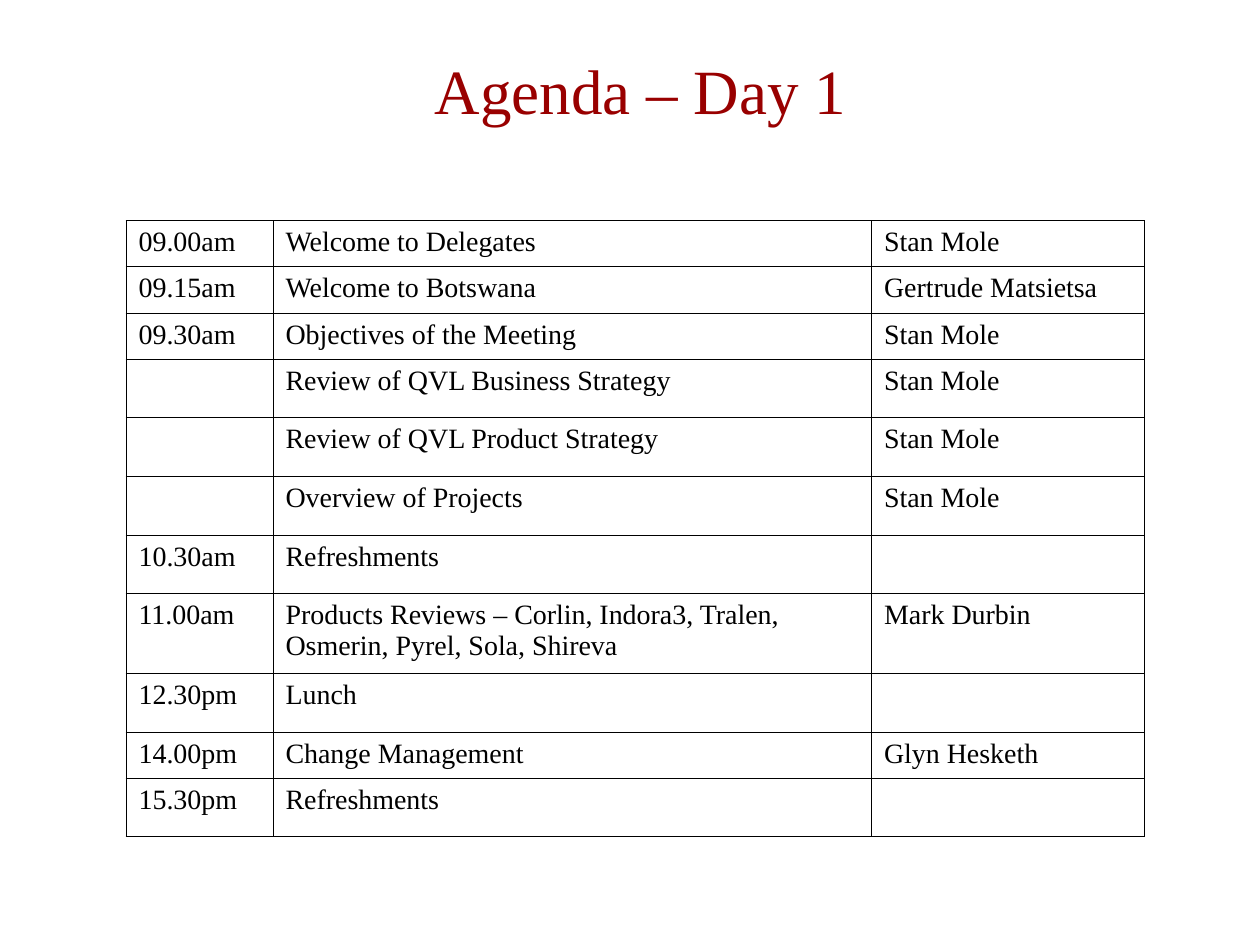
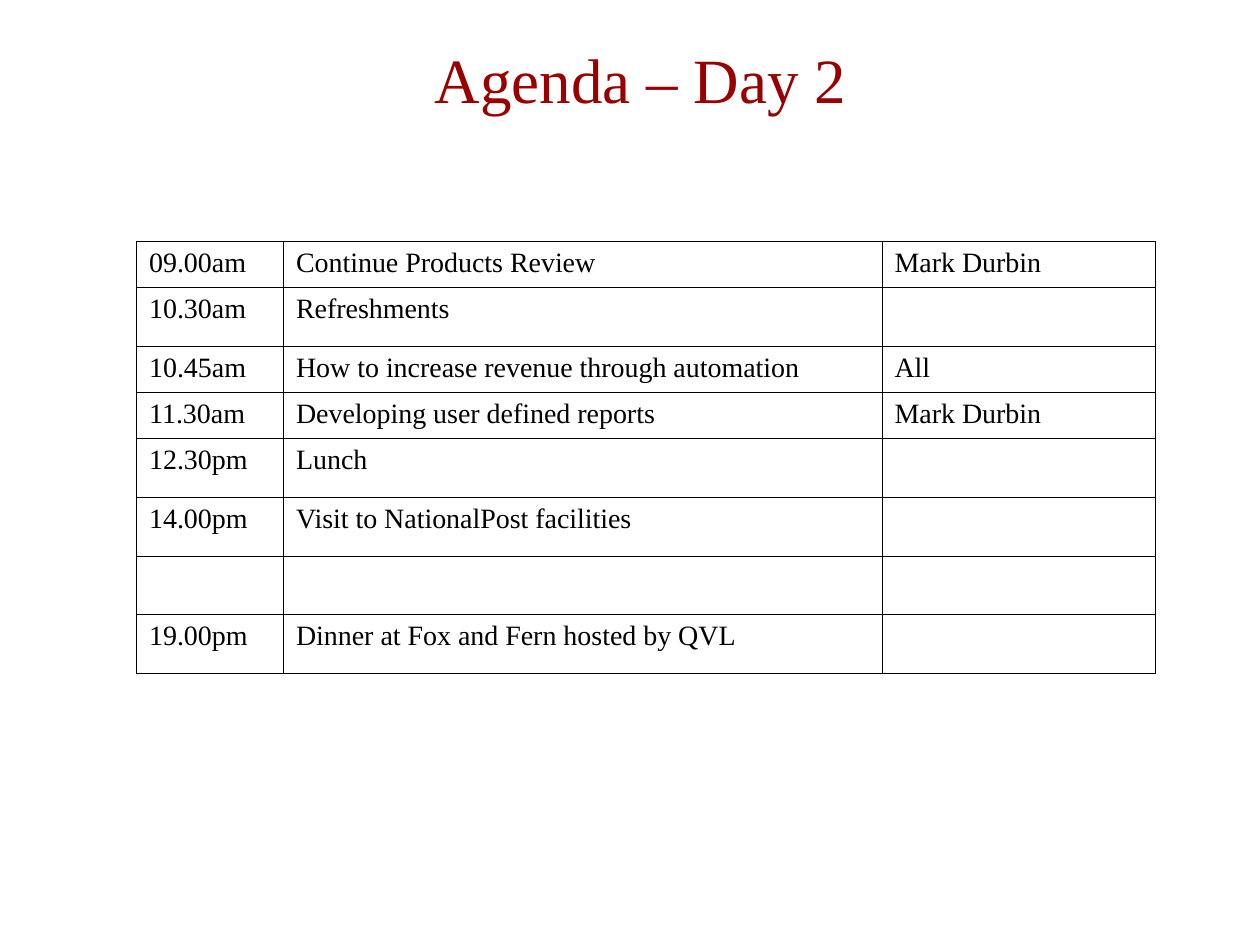
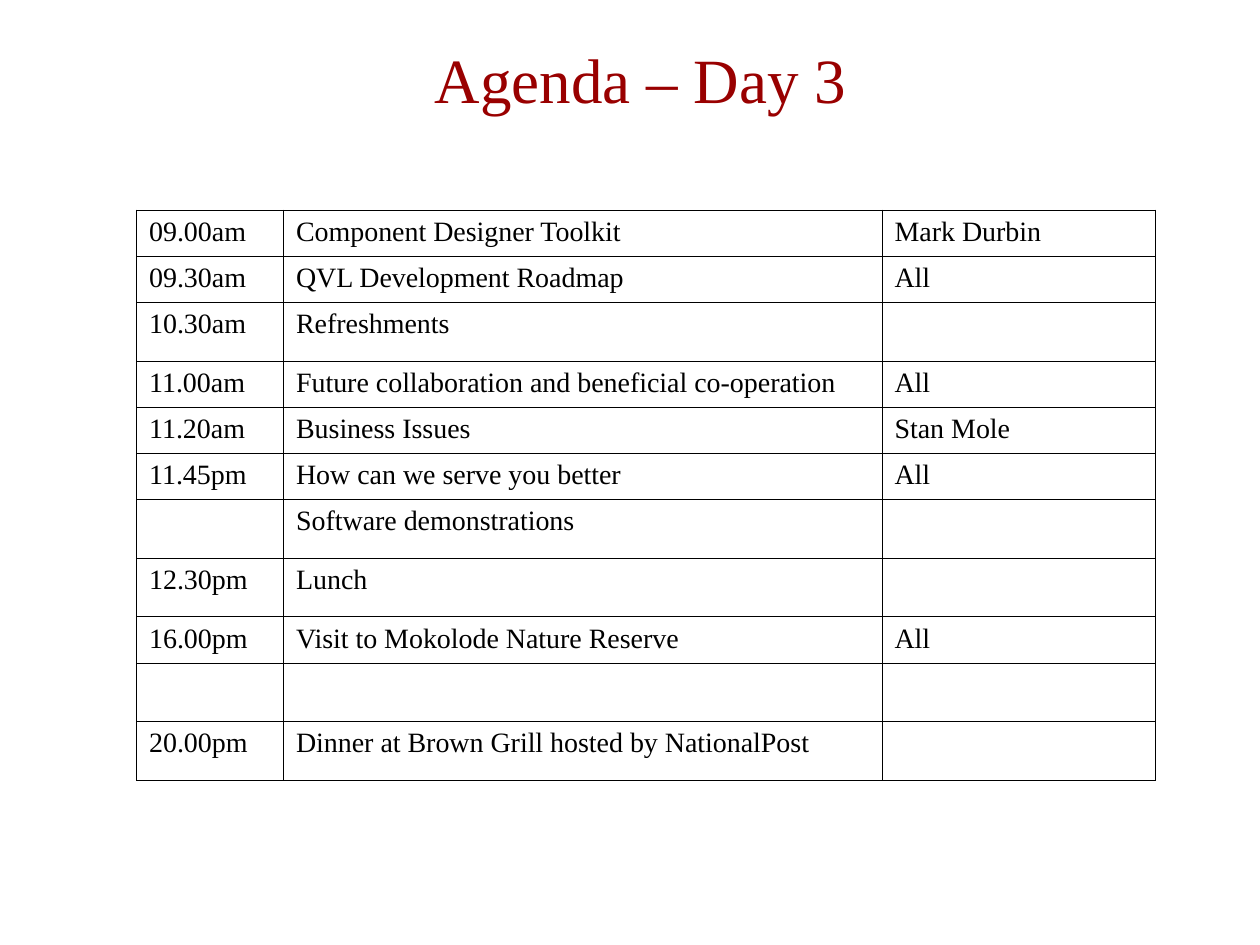
from lxml import etree
from pptx import Presentation
from pptx.dml.color import RGBColor
from pptx.enum.text import MSO_ANCHOR, PP_ALIGN
from pptx.oxml.ns import qn
from pptx.util import Inches, Pt

CENTER, MIDDLE, TOP = PP_ALIGN.CENTER, MSO_ANCHOR.MIDDLE, MSO_ANCHOR.TOP

# Shared style
DARK_RED = RGBColor(0x99, 0x00, 0x00)
BLACK = RGBColor(0x00, 0x00, 0x00)
FONT = "Times New Roman"
TITLE_SIZE, CELL_SIZE = Pt(36), Pt(16)
BORDER_WIDTH = Pt(0.45)

# Grid: the slide is 120 columns by 90 rows of square units
SLIDE_WIDTH, SLIDE_HEIGHT = Inches(10), Inches(7.5)
UNIT = SLIDE_WIDTH / 120
TITLE_LEFT, TITLE_WIDTH, TITLE_HEIGHT = 10, 102, 9
TIME_SESSION_SPEAKER = (14, 57, 26)
ROW_HEIGHT, TWO_LINE_ROW_HEIGHT = 4.4, 7.6
TWO_LINE_LENGTH = 55
EMPTY_CELL_BOTTOM = Inches(0.11)

# Per day: title top, table left, table top, sessions
DAYS = [
    ("Agenda – Day 1", 4, 12, 21, [
        ("09.00am", "Welcome to Delegates", "Stan Mole"),
        ("09.15am", "Welcome to Botswana", "Gertrude Matsietsa"),
        ("09.30am", "Objectives of the Meeting", "Stan Mole"),
        ("", "Review of QVL Business Strategy", "Stan Mole"),
        ("", "Review of QVL Product Strategy", "Stan Mole"),
        ("", "Overview of Projects", "Stan Mole"),
        ("10.30am", "Refreshments", ""),
        ("11.00am", "Products Reviews – Corlin, Indora3, Tralen, "
                    "Osmerin, Pyrel, Sola, Shireva", "Mark Durbin"),
        ("12.30pm", "Lunch", ""),
        ("14.00pm", "Change Management", "Glyn Hesketh"),
        ("15.30pm", "Refreshments", ""),
    ]),
    ("Agenda – Day 2", 3, 13, 23, [
        ("09.00am", "Continue Products Review", "Mark Durbin"),
        ("10.30am", "Refreshments", ""),
        ("10.45am", "How to increase revenue through automation", "All"),
        ("11.30am", "Developing user defined reports", "Mark Durbin"),
        ("12.30pm", "Lunch", ""),
        ("14.00pm", "Visit to NationalPost facilities", ""),
        ("", "", ""),
        ("19.00pm", "Dinner at Fox and Fern hosted by QVL", ""),
    ]),
    ("Agenda – Day 3", 3, 13, 20, [
        ("09.00am", "Component Designer Toolkit", "Mark Durbin"),
        ("09.30am", "QVL Development Roadmap", "All"),
        ("10.30am", "Refreshments", ""),
        ("11.00am", "Future collaboration and beneficial co-operation", "All"),
        ("11.20am", "Business Issues", "Stan Mole"),
        ("11.45pm", "How can we serve you better", "All"),
        ("", "Software demonstrations", ""),
        ("12.30pm", "Lunch", ""),
        ("16.00pm", "Visit to Mokolode Nature Reserve", "All"),
        ("", "", ""),
        ("20.00pm", "Dinner at Brown Grill hosted by NationalPost", ""),
    ]),
]


def units(count):
    return round(count * UNIT)


def add_text(paragraph, text, size, color):
    run = paragraph.add_run()
    run.text = text
    run.font.name, run.font.size = FONT, size
    run.font.color.rgb = color


def add_borders(cell):
    properties = cell._tc.get_or_add_tcPr()
    for position, side in enumerate(("a:lnL", "a:lnR", "a:lnT", "a:lnB")):
        line = etree.Element(qn(side), w=str(int(BORDER_WIDTH)))
        fill = etree.SubElement(line, qn("a:solidFill"))
        etree.SubElement(fill, qn("a:srgbClr"), val=str(BLACK))
        properties.insert(position, line)


def place_title(slide, text, top):
    title = slide.shapes.title
    title.left, title.top = units(TITLE_LEFT), units(top)
    title.width, title.height = units(TITLE_WIDTH), units(TITLE_HEIGHT)
    title.text_frame.vertical_anchor = MIDDLE
    heading = title.text_frame.paragraphs[0]
    heading.alignment = CENTER
    add_text(heading, text, TITLE_SIZE, DARK_RED)


def fill_cell(cell, text):
    cell.fill.background()
    cell.vertical_anchor = TOP
    add_borders(cell)
    if text:
        add_text(cell.text_frame.paragraphs[0], text, CELL_SIZE, BLACK)
    else:
        cell.margin_bottom = EMPTY_CELL_BOTTOM


def add_agenda(slide, left, top, sessions):
    heights = [TWO_LINE_ROW_HEIGHT if len(session) > TWO_LINE_LENGTH else ROW_HEIGHT
               for _, session, _ in sessions]
    agenda = slide.shapes.add_table(
        len(sessions), len(TIME_SESSION_SPEAKER), units(left), units(top),
        units(sum(TIME_SESSION_SPEAKER)), units(sum(heights))).table
    agenda.first_row = agenda.horz_banding = False
    for column, width in zip(agenda.columns, TIME_SESSION_SPEAKER):
        column.width = units(width)
    for row, height, entries in zip(agenda.rows, heights, sessions):
        row.height = units(height)
        for cell, entry in zip(row.cells, entries):
            fill_cell(cell, entry)


def main():
    deck = Presentation()
    deck.slide_width, deck.slide_height = SLIDE_WIDTH, SLIDE_HEIGHT
    title_only = deck.slide_layouts.get_by_name("Title Only")
    for title, title_top, table_left, table_top, sessions in DAYS:
        slide = deck.slides.add_slide(title_only)
        place_title(slide, title, title_top)
        add_agenda(slide, table_left, table_top, sessions)
    deck.save("out.pptx")


if __name__ == "__main__":
    main()
